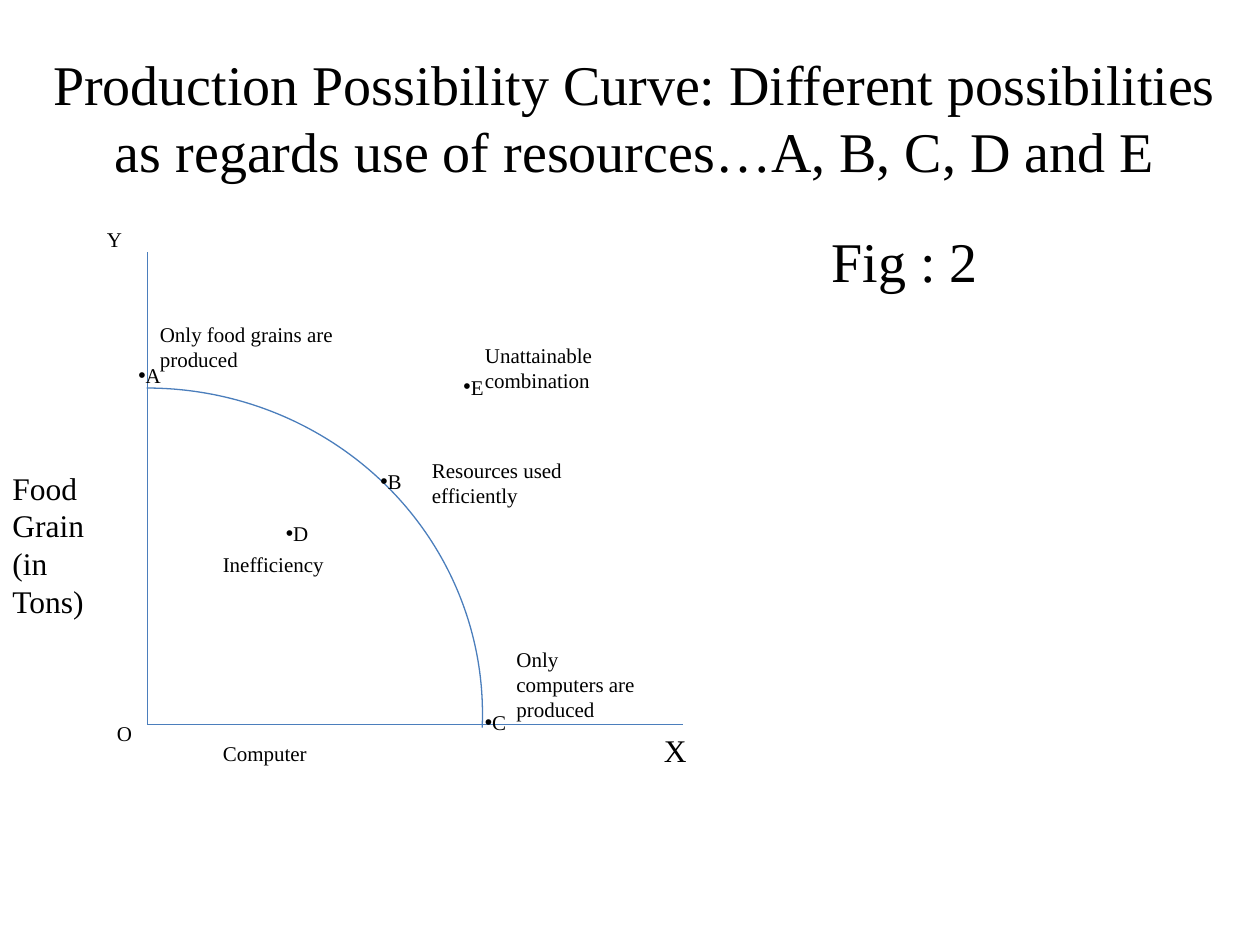
from pptx import Presentation
from pptx.dml.color import RGBColor
from pptx.enum.shapes import MSO_CONNECTOR, MSO_SHAPE
from pptx.enum.text import MSO_ANCHOR, MSO_AUTO_SIZE, PP_ALIGN
from pptx.oxml.ns import qn
from pptx.util import Inches, Pt
from lxml.etree import SubElement

FONT = "Times New Roman"
COLORS = {"text": "000000", "line": "4B7EBC"}
ORIGIN = (1.17, 5.75)
Y_AXIS_TOP = (1.17, 2)
X_AXIS_END = (5.42, 5.75)

# name, left, top, width
POINTS = [
    ("A", 1, 2.83, 0.33),
    ("E", 3.58, 2.92, 0.42),
    ("D", 2.17, 4.08, 0.5),
    ("B", 2.92, 3.67, 0.42),
    ("C", 3.75, 5.58, 0.42),
]

# text, left, top, width, height, size
LABELS = [
    ("X", 5.17, 5.75, 0.58, 0.42, 18),
    ("Y", 0.75, 1.75, 0.58, 0.3, 12),
    ("Only food grains are produced", 1.17, 2.5, 1.75, 0.5, 12),
    ("Unattainable combination", 3.75, 2.67, 1.75, 0.5, 12),
    ("Resources used efficiently", 3.33, 3.58, 1.58, 0.5, 12),
    ("Only computers are produced", 4, 5.08, 1.25, 0.71, 12),
    ("Inefficiency", 1.67, 4.33, 1.17, 0.3, 12),
    ("Food Grain (in Tons)", 0, 3.67, 1.08, 1.31, 18),
    ("Computer", 1.67, 5.83, 1.58, 0.3, 12),
    ("O", 0.83, 5.67, 0.25, 0.3, 12),
    ("Fig : 2", 6.5, 1.75, 1.58, 0.64, 32),
]


def rgb(name):
    return RGBColor.from_string(COLORS[name])


def style_text(p, size):
    p.font.name = FONT
    p.font.size = Pt(size)
    p.font.color.rgb = rgb("text")


def style_line(line):
    line.color.rgb = rgb("line")
    line.width = Pt(0.75)


def set_title(slide, text):
    title = slide.shapes.title
    title.left, title.top = Inches(0.25), Inches(0.3)
    title.width, title.height = Inches(9.58), Inches(1.25)
    tf = title.text_frame
    tf.text = text
    tf.auto_size = MSO_AUTO_SIZE.NONE
    tf.vertical_anchor = MSO_ANCHOR.MIDDLE
    p = tf.paragraphs[0]
    p.alignment = PP_ALIGN.CENTER
    style_text(p, 32)


def add_axis(slide, start, end):
    axis = slide.shapes.add_connector(
        MSO_CONNECTOR.STRAIGHT, *(Inches(v) for v in (*start, *end)))
    style_line(axis.line)
    SubElement(axis._element.spPr, qn("a:effectLst"))


def add_curve(slide):
    """Add the quarter arc that joins the two axes."""
    curve = slide.shapes.add_shape(
        MSO_SHAPE.ARC, Inches(-1.5), Inches(3.08), Inches(5.33), Inches(5.17))
    curve.adjustments[0] = 162
    curve.adjustments[1] = 1.43
    curve.fill.background()
    curve.shadow.inherit = False
    style_line(curve.line)


def add_label(slide, text, left, top, width, height, size):
    box = slide.shapes.add_textbox(
        Inches(left), Inches(top), Inches(width), Inches(height))
    tf = box.text_frame
    tf.word_wrap = True
    tf.auto_size = MSO_AUTO_SIZE.SHAPE_TO_FIT_TEXT
    p = tf.paragraphs[0]
    p.text = text
    style_text(p, size)
    return p


def add_point(slide, name, left, top, width):
    """Add a point of the diagram: a bullet followed by its letter."""
    p = add_label(slide, name, left, top, width, 0.3, 12)
    pPr = p._p.get_or_add_pPr()
    bullet_font = pPr.makeelement(qn("a:buFont"), {"typeface": "Arial"})
    bullet = pPr.makeelement(qn("a:buChar"), {"char": "•"})
    pPr.insert(0, bullet_font)
    pPr.insert(1, bullet)


def main():
    prs = Presentation()
    prs.slide_width, prs.slide_height = Inches(10), Inches(7.5)
    slide = prs.slides.add_slide(prs.slide_layouts[5])
    set_title(slide, "Production Possibility Curve: Different possibilities "
                     "as regards use of resources…A, B, C, D and E")
    add_axis(slide, Y_AXIS_TOP, ORIGIN)
    add_axis(slide, X_AXIS_END, ORIGIN)
    add_curve(slide)
    for point in POINTS:
        add_point(slide, *point)
    for label in LABELS:
        add_label(slide, *label)
    prs.save("out.pptx")


if __name__ == "__main__":
    main()
